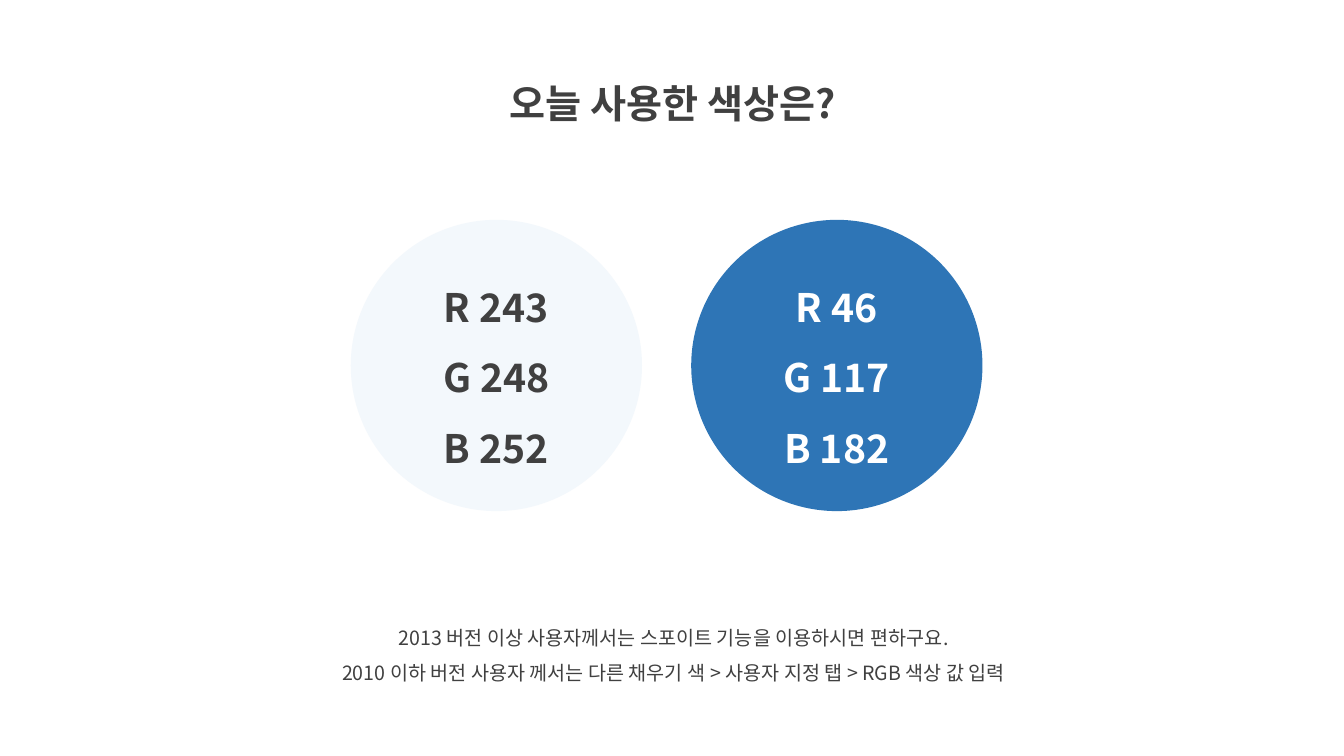
from dataclasses import dataclass

import pptx
import pptx.dml.color
import pptx.enum.shapes
import pptx.enum.text
import pptx.oxml.ns
import pptx.presentation
import pptx.shapes.autoshape
import pptx.slide
import pptx.text.text
import pptx.util
from lxml import etree
from pptx.util import Cm

FONT = "Noto Sans CJK KR"
DARK = "404040"
WHITE = "FFFFFF"
CIRCLE_SIZE = 7.34
CIRCLE_TOP = 5.54
FIRST_CIRCLE_LEFT = 8.84
CIRCLE_PITCH = 8.58


@dataclass(frozen=True)
class Swatch:
    column: int
    red: int
    green: int
    blue: int
    text_color: str

    @property
    def fill(self) -> str:
        return f"{self.red:02X}{self.green:02X}{self.blue:02X}"

    @property
    def label(self) -> str:
        return f"R {self.red}\nG {self.green}\nB {self.blue}"


SWATCHES = [
    Swatch(1, 46, 117, 182, WHITE),
    Swatch(0, 243, 248, 252, DARK),
]


def rgb(hex_color: str) -> pptx.dml.color.RGBColor:
    return pptx.dml.color.RGBColor.from_string(hex_color)


def write(frame: pptx.text.text.TextFrame, text: str, size: float,
          color: str, bold: bool) -> None:
    """Fill the frame with centred paragraphs, one per line of text."""
    frame.text = text
    frame.word_wrap = True
    for paragraph in frame.paragraphs:
        paragraph.alignment = pptx.enum.text.PP_ALIGN.CENTER
        paragraph.line_spacing = 1.5
        for run in paragraph.runs:
            run.font.size = pptx.util.Pt(size)
            run.font.bold = bold
            run.font.color.rgb = rgb(color)
            run.font.name = FONT
            east_asian = etree.SubElement(
                run.font._element, pptx.oxml.ns.qn("a:ea"))
            east_asian.set("typeface", FONT)


def write_growing(frame: pptx.text.text.TextFrame, text: str, size: float,
                  bold: bool) -> None:
    """Write dark text from the top of a frame that grows with it."""
    write(frame, text, size, DARK, bold)
    frame.vertical_anchor = pptx.enum.text.MSO_ANCHOR.TOP
    frame.auto_size = pptx.enum.text.MSO_AUTO_SIZE.SHAPE_TO_FIT_TEXT


def add_title(slide: pptx.slide.Slide) -> None:
    title = slide.shapes.title
    title.left, title.top = Cm(11.07), Cm(1.27)
    title.width, title.height = Cm(11.76), Cm(1.83)
    write_growing(title.text_frame, "오늘 사용한 색상은?", 28, True)


def add_instructions(slide: pptx.slide.Slide) -> None:
    instructions = slide.shapes.add_textbox(
        Cm(6.83), Cm(15.34), Cm(20.29), Cm(2.06))
    write_growing(
        instructions.text_frame,
        "2013 버전 이상 사용자께서는 스포이트 기능을 이용하시면 편하구요.\n"
        "2010 이하 버전 사용자 께서는 다른 채우기 색 > 사용자 지정 탭 > RGB 색상 값 입력",
        14, False)


def add_swatch(slide: pptx.slide.Slide, swatch: Swatch) -> None:
    circle = slide.shapes.add_shape(
        pptx.enum.shapes.MSO_SHAPE.OVAL,
        Cm(FIRST_CIRCLE_LEFT + swatch.column * CIRCLE_PITCH), Cm(CIRCLE_TOP),
        Cm(CIRCLE_SIZE), Cm(CIRCLE_SIZE))
    circle.shadow.inherit = False
    circle.fill.solid()
    circle.fill.fore_color.rgb = rgb(swatch.fill)
    circle.line.fill.background()
    write(circle.text_frame, swatch.label, 28, swatch.text_color, True)
    circle.text_frame.vertical_anchor = pptx.enum.text.MSO_ANCHOR.MIDDLE


def main() -> None:
    presentation = pptx.Presentation()
    presentation.slide_width = Cm(33.87)
    presentation.slide_height = Cm(19.05)
    title_only = presentation.slide_layouts[5]
    slide = presentation.slides.add_slide(title_only)
    slide.background.fill.solid()
    slide.background.fill.fore_color.rgb = rgb(WHITE)
    add_title(slide)
    add_instructions(slide)
    for swatch in SWATCHES:
        add_swatch(slide, swatch)
    presentation.save("out.pptx")


if __name__ == "__main__":
    main()
